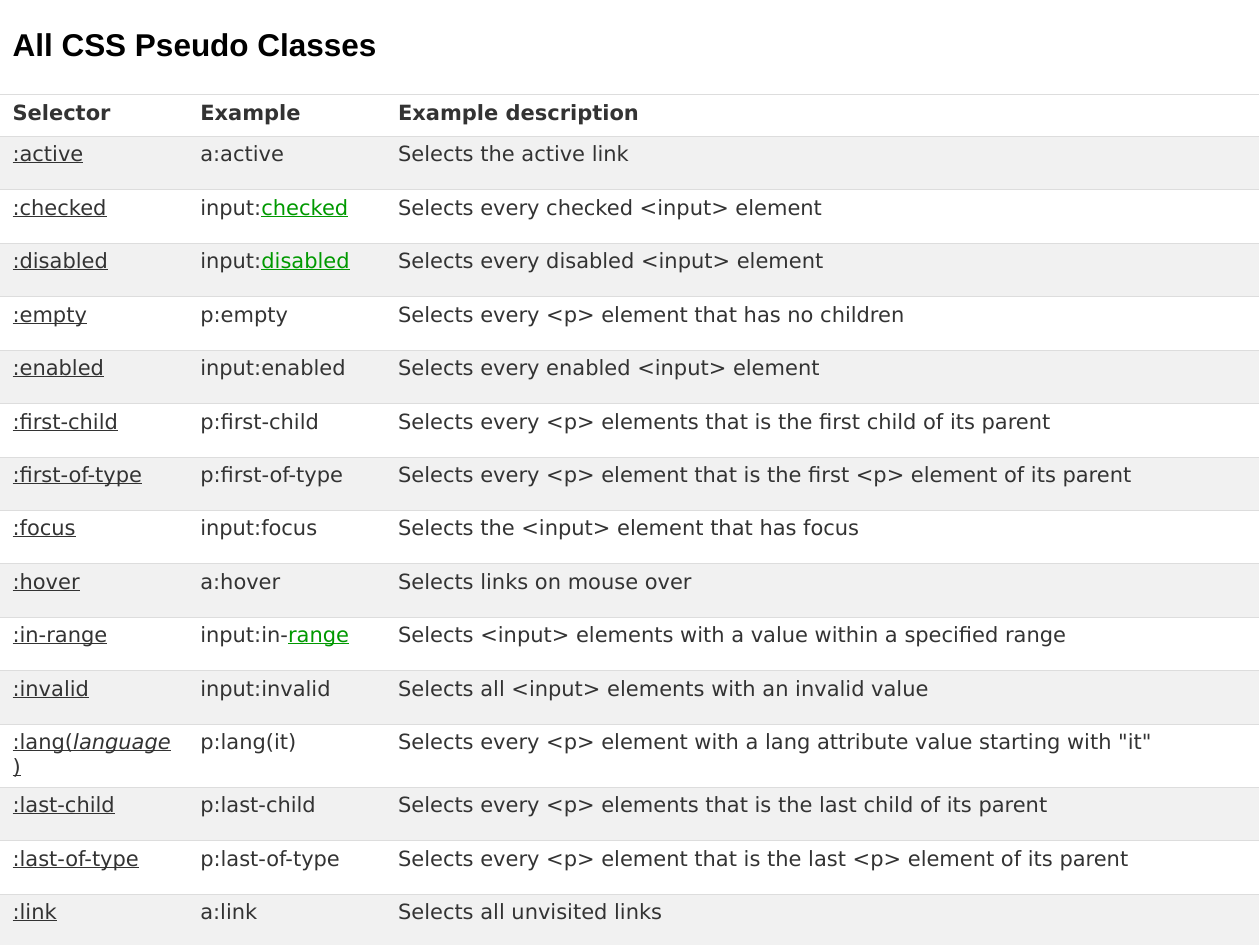
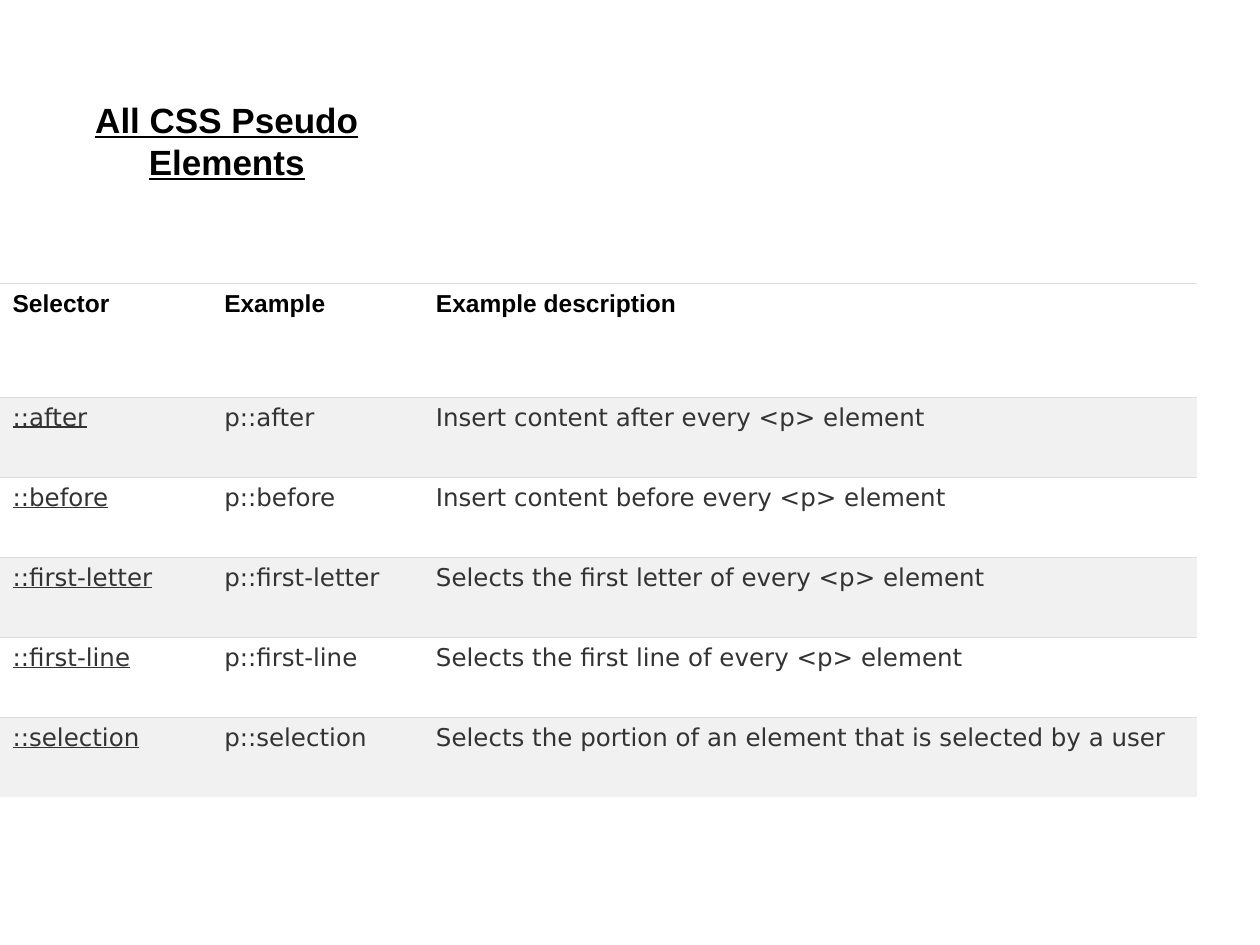
import dataclasses

import lxml.etree
import pptx
import pptx.dml.color
import pptx.enum.text
import pptx.oxml.ns
import pptx.util

Inches = pptx.util.Inches
Align = pptx.enum.text.PP_ALIGN


@dataclasses.dataclass(frozen=True)
class Theme:
    white: str = "FFFFFF"
    band: str = "F1F1F1"
    rule: str = "DDDDDD"
    ink: str = "333333"
    black: str = "000000"
    link: str = "009900"
    heading_font: str = "Arial"
    body_font: str = "DejaVu Sans"
    rule_width: float = 0.06
    plain_table_style: str = "{2D5ABB26-0587-4C30-8999-92F81FD0307C}"


theme = Theme()
body = {"name": theme.body_font, "color": theme.ink, "bold": False, "underline": False}
heading = {"name": theme.heading_font, "color": theme.black, "bold": True}
green = {"color": theme.link, "underline": True}
header_row = ("Selector", "Example", "Example description")


def add_run(paragraph, text, formats):
    run = paragraph.add_run()
    run.text = text
    for attribute, value in formats.items():
        if attribute == "color":
            run.font.color.rgb = pptx.dml.color.RGBColor.from_string(value)
        else:
            setattr(run.font, attribute, value)


def add_rules(cell, sides):
    properties = cell._tc.get_or_add_tcPr()
    for position, side in enumerate(sides):
        line = lxml.etree.Element(pptx.oxml.ns.qn(f"a:ln{side}"),
                                  w=str(int(pptx.util.Pt(theme.rule_width))))
        fill = lxml.etree.SubElement(line, pptx.oxml.ns.qn("a:solidFill"))
        lxml.etree.SubElement(fill, pptx.oxml.ns.qn("a:srgbClr"), val=theme.rule)
        properties.insert(position, line)


# Content: a cell is a string, or a list of (text, extra formats)
pseudo_classes = [
    (":active", "a:active", "Selects the active link"),
    (":checked", [("input:", {}), ("checked", green)],
     "Selects every checked <input> element"),
    (":disabled", [("input:", {}), ("disabled", green)],
     "Selects every disabled <input> element"),
    (":empty", "p:empty", "Selects every <p> element that has no children"),
    (":enabled", "input:enabled", "Selects every enabled <input> element"),
    (":first-child", "p:first-child",
     "Selects every <p> elements that is the first child of its parent"),
    (":first-of-type", "p:first-of-type",
     "Selects every <p> element that is the first <p> element of its parent"),
    (":focus", "input:focus", "Selects the <input> element that has focus"),
    (":hover", "a:hover", "Selects links on mouse over"),
    (":in-range", [("input:in-", {}), ("range", green)],
     "Selects <input> elements with a value within a specified range"),
    (":invalid", "input:invalid", "Selects all <input> elements with an invalid value"),
    ([(":lang(", {}), ("language", {"italic": True}), (")", {})], "p:lang(it)",
     'Selects every <p> element with a lang attribute value starting with "it"'),
    (":last-child", "p:last-child",
     "Selects every <p> elements that is the last child of its parent"),
    (":last-of-type", "p:last-of-type",
     "Selects every <p> element that is the last <p> element of its parent"),
    (":link", "a:link", "Selects all unvisited links"),
]
pseudo_elements = [
    ("::after", "p::after", "Insert content after every <p> element"),
    ("::before", "p::before", "Insert content before every <p> element"),
    ("::first-letter", "p::first-letter", "Selects the first letter of every <p> element"),
    ("::first-line", "p::first-line", "Selects the first line of every <p> element"),
    ("::selection", "p::selection",
     "Selects the portion of an element that is selected by a user"),
]
pages = [
    {"title": "All CSS Pseudo Classes", "title_box": (0, 0, 3.83, 0.59),
     "title_format": {**heading, "size": pptx.util.Pt(18)},
     "title_align": Align.LEFT, "title_wrap": True,
     "rows": pseudo_classes, "table_box": (0, 0.75, 10, 6.77),
     "columns": (1.49, 1.57, 6.93), "fixed_heights": {0: 0.33, 12: 0.5},
     "text_size": pptx.util.Pt(12), "header_format": {"bold": True},
     "header_fill": theme.white},
    {"title": "All CSS Pseudo Elements", "title_box": (0, 0.75, 3.6, 0.63),
     "title_format": {**heading, "size": pptx.util.Pt(20), "underline": True},
     "title_align": Align.CENTER, "title_wrap": False,
     "rows": pseudo_elements, "table_box": (0, 2.25, 9.5, 4.08),
     "columns": (1.68, 1.68, 6.14), "fixed_heights": {0: 0.9},
     "text_size": pptx.util.Pt(14), "header_format": heading,
     "header_fill": None},
]

presentation = pptx.Presentation()
presentation.slide_width, presentation.slide_height = Inches(10), Inches(7.5)

for page in pages:
    slide = presentation.slides.add_slide(presentation.slide_layouts[5])

    # Title
    title = slide.shapes.title
    title.left, title.top, title.width, title.height = map(Inches, page["title_box"])
    title.fill.solid()
    title.fill.fore_color.rgb = pptx.dml.color.RGBColor.from_string(theme.white)
    frame_formats = {
        "margin_left": Inches(0.1), "margin_top": Inches(0.2),
        "margin_right": Inches(0.1), "margin_bottom": Inches(0.1),
        "vertical_anchor": pptx.enum.text.MSO_ANCHOR.MIDDLE,
        "auto_size": pptx.enum.text.MSO_AUTO_SIZE.SHAPE_TO_FIT_TEXT,
        "word_wrap": page["title_wrap"],
    }
    for attribute, value in frame_formats.items():
        setattr(title.text_frame, attribute, value)
    title_line = title.text_frame.paragraphs[0]
    title_line.alignment = page["title_align"]
    add_run(title_line, page["title"], page["title_format"])

    # Table grid: rows without a fixed height share what is left
    rows = [header_row, *page["rows"]]
    fixed = page["fixed_heights"]
    table_frame = slide.shapes.add_table(len(rows), len(header_row),
                                         *map(Inches, page["table_box"]))
    reference = table_frame.table
    reference.first_row = reference.horz_banding = False
    reference._tbl.tblPr.find(pptx.oxml.ns.qn("a:tableStyleId")).text = theme.plain_table_style
    for column, width in zip(reference.columns, page["columns"]):
        column.width = Inches(width)
    shared_height = (page["table_box"][3] - sum(fixed.values())) / (len(rows) - len(fixed))

    # Table cells
    for row_index, row in enumerate(rows):
        reference.rows[row_index].height = Inches(fixed.get(row_index, shared_height))
        is_header = row_index == 0
        row_fill = theme.band if row_index % 2 else theme.white
        if is_header:
            row_fill = page["header_fill"]
        for column_index, content in enumerate(row):
            cell = reference.cell(row_index, column_index)
            if row_fill:
                cell.fill.solid()
                cell.fill.fore_color.rgb = pptx.dml.color.RGBColor.from_string(row_fill)
            else:
                cell.fill.background()
            add_rules(cell, "T" if row_index == len(rows) - 1 else "TB")
            formats = {**body, "size": page["text_size"]}
            if is_header:
                formats.update(page["header_format"])
            elif column_index == 0:
                formats["underline"] = True
            pieces = [(content, {})] if isinstance(content, str) else content
            for text, extra in pieces:
                add_run(cell.text_frame.paragraphs[0], text, {**formats, **extra})

presentation.save("out.pptx")
